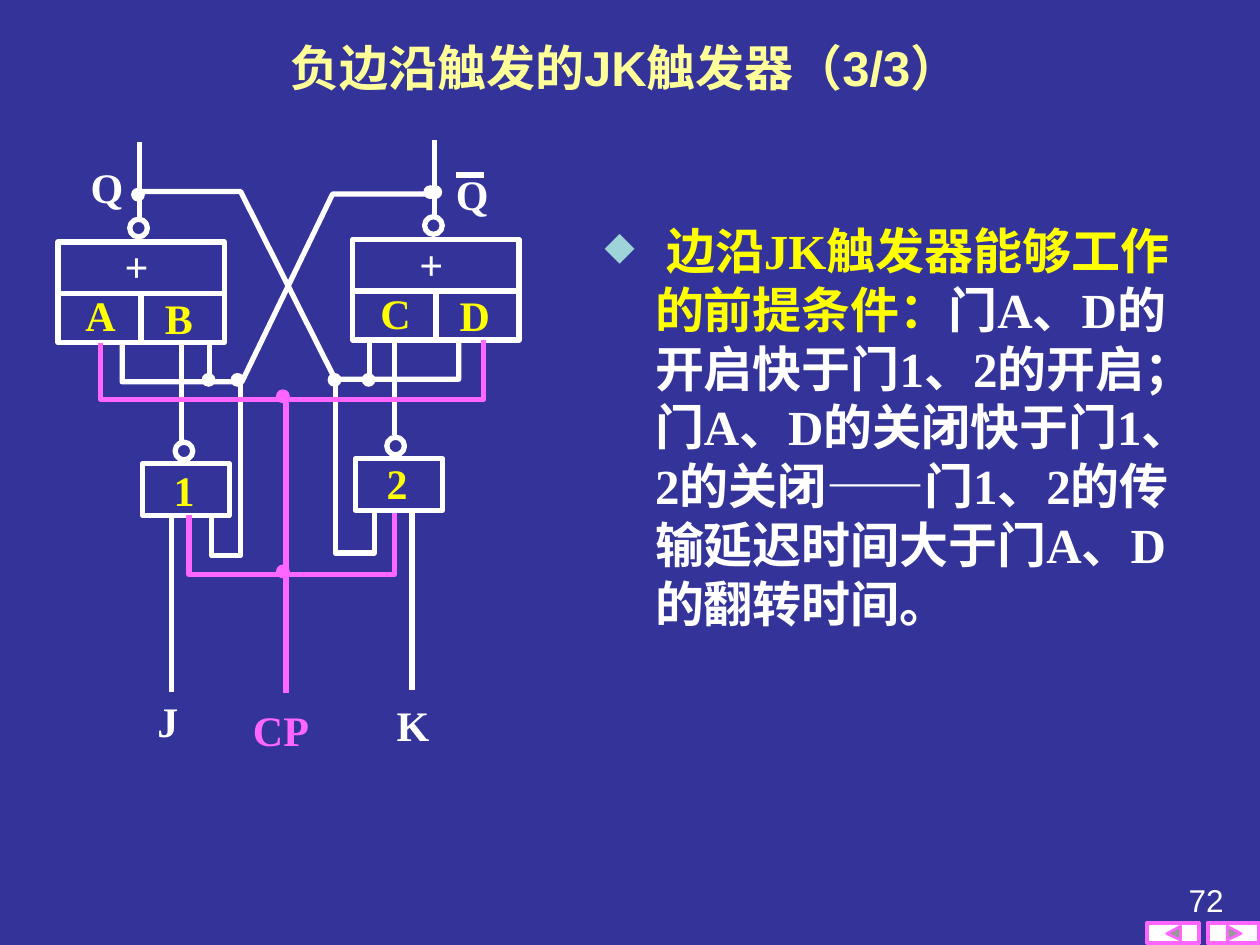
from lxml import etree
from pptx import Presentation
from pptx.dml.color import RGBColor
from pptx.enum.shapes import MSO_CONNECTOR, MSO_SHAPE
from pptx.enum.text import MSO_ANCHOR, MSO_AUTO_SIZE, PP_ALIGN
from pptx.oxml.ns import qn
from pptx.util import Pt

PX = 9144
RECT, OVAL = MSO_SHAPE.RECTANGLE, MSO_SHAPE.OVAL
STRAIGHT = MSO_CONNECTOR.STRAIGHT
CENTER, RIGHT = PP_ALIGN.CENTER, PP_ALIGN.RIGHT
MIDDLE, GROW = MSO_ANCHOR.MIDDLE, MSO_AUTO_SIZE.SHAPE_TO_FIT_TEXT
SERIF, SANS = "Times New Roman", "Arial"
C = {name: RGBColor.from_string(value) for name, value in {
    "bg": "333399", "white": "FFFFFF", "yellow": "FFFF00", "title": "FFFF99",
    "pink": "FF66FF", "bullet": "9ED3D7", "gray": "999999"}.items()}


def style(sp, fill=None, line=None, width=3):
    sp.shadow.inherit = False
    if fill:
        sp.fill.solid()
        sp.fill.fore_color.rgb = C[fill]
    else:
        sp.fill.background()
    if line:
        sp.line.color.rgb = C[line]
        sp.line.width = Pt(width)
    else:
        sp.line.fill.background()


def add_run(p, text, size, font, color, bold=True):
    r = p.add_run()
    r.text = text
    r.font.size = Pt(size)
    r.font.name = font
    r.font.bold = bold
    r.font.color.rgb = C[color]


prs = Presentation()
prs.slide_width, prs.slide_height = 1000 * PX, 750 * PX
s = prs.slides.add_slide(prs.slide_layouts[5])
s.background.fill.solid()
s.background.fill.fore_color.rgb = C["bg"]

title = s.shapes.title
title.left, title.top, title.width, title.height = 46 * PX, 21 * PX, 900 * PX, 64 * PX
tf = title.text_frame
tf.vertical_anchor = MIDDLE
p = tf.paragraphs[0]
p.alignment = CENTER
add_run(p, "负边沿触发的JK触发器（3/3）", 28, SANS, "title")

body = s.shapes.add_textbox(470 * PX, 170 * PX, 488 * PX, 337 * PX)
tf = body.text_frame
tf.word_wrap = True
tf.auto_size = GROW
p = tf.paragraphs[0]
pPr = p._p.get_or_add_pPr()
pPr.set("marL", str(40 * PX))
pPr.set("indent", str(-40 * PX))
color = etree.SubElement(pPr, qn("a:buClr"))
etree.SubElement(color, qn("a:srgbClr"), val=str(C["bullet"]))
etree.SubElement(pPr, qn("a:buSzPct"), val="80000")
etree.SubElement(pPr, qn("a:buChar"), char="◆")
add_run(p, " 边沿JK触发器能够工作的前提条件：", 28, SERIF, "yellow")
add_run(p, "门A、D的开启快于门1、2的开启；门A、D的关闭快于门1、2的关闭——"
           "门1、2的传输延迟时间大于门A、D的翻转时间。", 28, SERIF, "white")

circuit = s.shapes.add_group_shape().shapes
lines = [
    (293, 270, 293, 301, "white"), (166, 272, 166, 298, "white"),
    (144, 351, 144, 274, "white"), (313, 345, 313, 268, "white"),
    (227, 319, 227, 550, "pink"), (327, 405, 327, 548, "white"),
    (136, 409, 136, 549, "white"), (362, 139, 384, 139, "white"),
]
labels = [
    ("Q", 62, 123, 55, "white"), ("Q", 352, 129, 55, "white"),
    ("CP", 191, 554, 86, "pink"), ("J", 115, 547, 86, "white"),
    ("K", 305, 550, 53, "white"),
    ("1", 128, 364, 53, "yellow"), ("2", 297, 358, 53, "yellow"),
]
bubbles = [(139, 351), (307, 347)]

joins = []
for x, y, left, right in [(46, 192, "A", "B"), (280, 190, "C", "D")]:
    gate = circuit.add_shape(RECT, x * PX, y * PX, 132 * PX, 80 * PX)
    style(gate, line="white")
    joins.append((gate, len(lines)))
    lines += [(x + 66, y + 80, x + 66, y + 41, "white"),
              (x, y + 41, x + 132, y + 41, "white"),
              (x + 65, y - 18, x + 65, y - 79, "white")]
    bubbles.append((x + 57, y - 18))
    labels += [("+", x + 43, y - 6, 55, "white"),
               (left, x + 12, y + 33, 55, "yellow"),
               (right, x + 75, y + 35, 55, "yellow")]

for x, y in [(113, 368), (282, 364)]:
    sp = circuit.add_shape(RECT, x * PX, y * PX, 69 * PX, 41 * PX)
    style(sp, line="white")

for x, y in bubbles:
    sp = circuit.add_shape(OVAL, x * PX, y * PX, 14 * PX, 14 * PX)
    style(sp, line="white")

connectors = []
for x1, y1, x2, y2, color in lines:
    cn = circuit.add_connector(STRAIGHT, x1 * PX, y1 * PX, x2 * PX, y2 * PX)
    cn.line.color.rgb = C[color]
    cn.line.width = Pt(3)
    etree.SubElement(cn._element.spPr, qn("a:effectLst"))
    connectors.append(cn)
for gate, i in joins:
    connectors[i].begin_connect(gate, 2)

wires = [
    ("white", [(109, 152), (191, 152), (266, 301), (364, 301), (364, 270)]),
    ("white", [(344, 154), (264, 154), (192, 303), (97, 303), (97, 272)]),
    ("white", [(266, 301), (266, 439), (297, 439), (297, 405)]),
    ("white", [(191, 303), (191, 441), (168, 441), (168, 407)]),
    ("pink", [(80, 272), (80, 317), (384, 317), (384, 270)]),
    ("pink", [(150, 409), (150, 456), (313, 456), (313, 407)]),
]
for color, points in wires:
    fb = circuit.build_freeform(*points[0], scale=PX)
    fb.add_line_segments(points[1:], close=False)
    style(fb.convert_to_shape(), line=color)

dots = [(219, 448, "pink"), (219, 309, "pink"), (287, 296, "white"),
        (160, 296, "white"), (183, 296, "white"), (260, 296, "white"),
        (336, 147, "white"), (340, 147, "white"), (104, 149, "white")]
for x, y, color in dots:
    sp = circuit.add_shape(OVAL, x * PX, y * PX, 11 * PX, 11 * PX)
    style(sp, fill=color)

for text, x, y, w, color in labels:
    tf = circuit.add_textbox(x * PX, y * PX, w * PX, 50 * PX).text_frame
    tf.word_wrap = True
    tf.auto_size = GROW
    add_run(tf.paragraphs[0], text, 24, SERIF, color)

for x, base, tip in [(910, 937, 926), (958, 974, 985)]:
    frame = [(x, 732), (x + 42, 732), (x + 42, 749), (x, 749)]
    inner = [(x + 1, 733), (x + 41, 733), (x + 41, 748), (x + 1, 748)]
    arrow = [(base, 735), (tip, 741), (base, 746)]
    for points, fill in [(frame, "white"), (inner, "white"), (arrow, "gray")]:
        fb = s.shapes.build_freeform(*points[0], scale=PX)
        fb.add_line_segments(points[1:], close=True)
        style(fb.convert_to_shape(), fill, "pink", 1.5)

tf = s.shapes.add_textbox(886 * PX, 694 * PX, 95 * PX, 33 * PX).text_frame
tf.word_wrap = True
p = tf.paragraphs[0]
p.alignment = RIGHT
add_run(p, "72", 18, SANS, "white", False)

prs.save("out.pptx")
